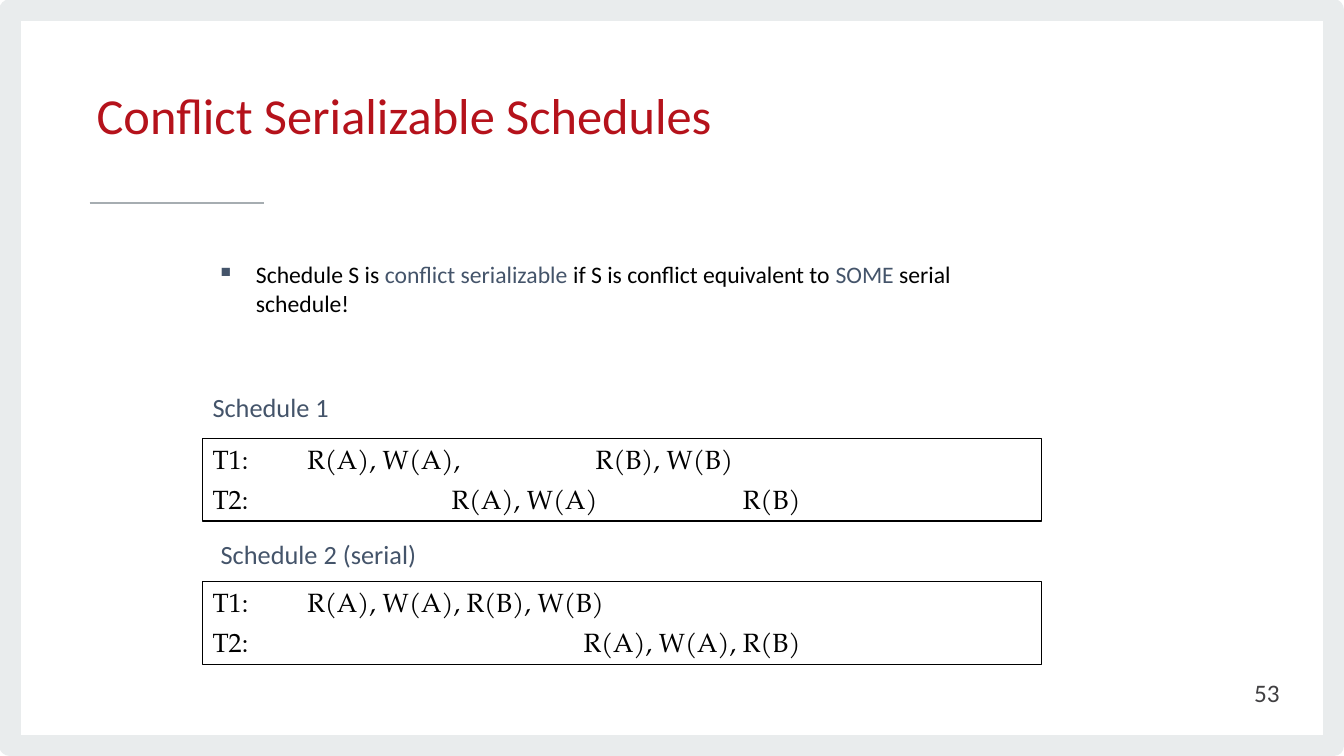
from dataclasses import dataclass

from lxml import etree
from pptx import Presentation
from pptx.dml.color import RGBColor
from pptx.enum.shapes import MSO_CONNECTOR, MSO_SHAPE
from pptx.enum.text import MSO_ANCHOR, MSO_AUTO_SIZE, PP_ALIGN
from pptx.oxml.ns import qn
from pptx.util import Inches, Pt

STRAIGHT = MSO_CONNECTOR.STRAIGHT
RECTANGLE = MSO_SHAPE.RECTANGLE
TOP, MIDDLE = MSO_ANCHOR.TOP, MSO_ANCHOR.MIDDLE
LEFT, RIGHT = PP_ALIGN.LEFT, PP_ALIGN.RIGHT
GROW, FIXED = MSO_AUTO_SIZE.SHAPE_TO_FIT_TEXT, MSO_AUTO_SIZE.NONE
CELL = Inches(0.1)


@dataclass(frozen=True)
class Theme:
    sans: str = "Calibri"
    serif: str = "TeX Gyre Pagella"
    red: str = "B5121B"
    slate: str = "44546A"
    black: str = "000000"
    number: str = "414042"
    frame: str = "E9ECED"
    rule: str = "A6ADB1"
    title_size: float = 36
    number_size: float = 18
    body_size: float = 16.9
    schedule_size: float = 18.8


def cells(*counts):
    return [round(count * CELL) for count in counts]


class SlideBuilder:
    def __init__(self, slide, theme):
        self.shapes = slide.shapes
        self.theme = theme

    def style(self, font, size, color, face=None):
        font.name = face or self.theme.sans
        font.size = Pt(size)
        font.color.rgb = RGBColor.from_string(color)

    def outline(self, at, color, width):
        box = self.shapes.add_shape(RECTANGLE, *cells(*at))
        box.shadow.inherit = False
        box.fill.background()
        box.line.color.rgb = RGBColor.from_string(color)
        box.line.width = Pt(width)
        return box

    def rule(self, left, top, length):
        line = self.shapes.add_connector(STRAIGHT, *cells(left, top, left + length, top))
        line.line.color.rgb = RGBColor.from_string(self.theme.rule)
        line.line.width = Pt(1.33)
        etree.SubElement(line.line._get_or_add_ln().getparent(), qn("a:effectLst"))

    def text(self, at, words, size, color, anchor=TOP, align=LEFT, wrap=True, grow=FIXED):
        frame = self.shapes.add_textbox(*cells(*at)).text_frame
        frame.word_wrap = wrap
        frame.auto_size = grow
        frame.vertical_anchor = anchor
        frame.text = words
        paragraph = frame.paragraphs[0]
        paragraph.alignment = align
        self.style(paragraph.runs[0].font, size, color)
        return paragraph

    def bullet(self, at, phrases):
        frame = self.shapes.add_textbox(*cells(*at)).text_frame
        frame.word_wrap = True
        paragraph = frame.paragraphs[0]
        properties = paragraph._p.get_or_add_pPr()
        indent = Inches(0.35)
        properties.set("marL", str(indent))
        properties.set("indent", str(-indent))
        color = etree.SubElement(properties, qn("a:buClr"))
        etree.SubElement(color, qn("a:srgbClr"), val=self.theme.slate)
        etree.SubElement(properties, qn("a:buSzPct"), val="60000")
        etree.SubElement(properties, qn("a:buChar"), char="■")
        for phrase, phrase_color in phrases:
            run = paragraph.add_run()
            run.text = phrase
            self.style(run.font, self.theme.body_size, phrase_color)

    def schedule(self, caption, caption_at, top, transactions):
        theme = self.theme
        box = self.outline((20.1, top, 83.2, 8.2), theme.black, 1)
        frame = box.text_frame
        frame.vertical_anchor = TOP
        frame.word_wrap = True
        frame.auto_size = GROW
        frame.text = "\n".join("\t".join([name, *steps]) for name, steps, _ in transactions)
        for paragraph, (_, _, stops) in zip(frame.paragraphs, transactions):
            paragraph.alignment = LEFT
            paragraph.space_after = Pt(6)
            tabs = etree.SubElement(paragraph._p.get_or_add_pPr(), qn("a:tabLst"))
            for stop in stops:
                etree.SubElement(tabs, qn("a:tab"), pos=str(Inches(stop)), algn="l")
            for run in paragraph.runs:
                self.style(run.font, theme.schedule_size, theme.black, theme.serif)
        label = self.text(caption_at, caption, theme.schedule_size, theme.slate,
                          wrap=False, grow=GROW)
        label.space_after = Pt(6)


def main():
    presentation = Presentation()
    presentation.slide_width = Inches(13.33)
    presentation.slide_height = Inches(7.5)
    theme = Theme()
    builder = SlideBuilder(
        presentation.slides.add_slide(presentation.slide_layouts[6]), theme)

    builder.outline((1, 1, 131.3, 73), theme.frame, 15.11)
    builder.rule(8.9, 20.1, 17.3)
    title = builder.text((8.6, 5.2, 87.9, 13.4), "Conflict Serializable Schedules",
                         theme.title_size, theme.red, anchor=MIDDLE)
    title.line_spacing = Pt(34.7)
    builder.text((97.9, 66.7, 30, 4), "53", theme.number_size, theme.number,
                 anchor=MIDDLE, align=RIGHT).space_after = Pt(6)
    builder.bullet((20.9, 25.3, 80.5, 42.2), [
        ("Schedule S is ", theme.black),
        ("conflict serializable", theme.slate),
        (" if S is conflict equivalent to ", theme.black),
        ("SOME", theme.slate),
        (" serial schedule!", theme.black),
    ])
    builder.schedule("Schedule 1", (20.1, 38.3, 13.7, 4.1), 43.5, [
        ("T1:", ["R(A), W(A),", "R(B), W(B)"], [0.94, 3.8]),
        ("T2:", ["R(A), W(A)", "R(B)"], [2.37, 5.26]),
    ])
    builder.schedule("Schedule 2 (serial)", (20.9, 52.9, 21.7, 4.1), 57.7, [
        ("T1:", ["R(A), W(A), R(B), W(B)"], [0.94]),
        ("T2:", ["R(A), W(A), R(B)"], [3.68]),
    ])
    presentation.save("out.pptx")


if __name__ == "__main__":
    main()
